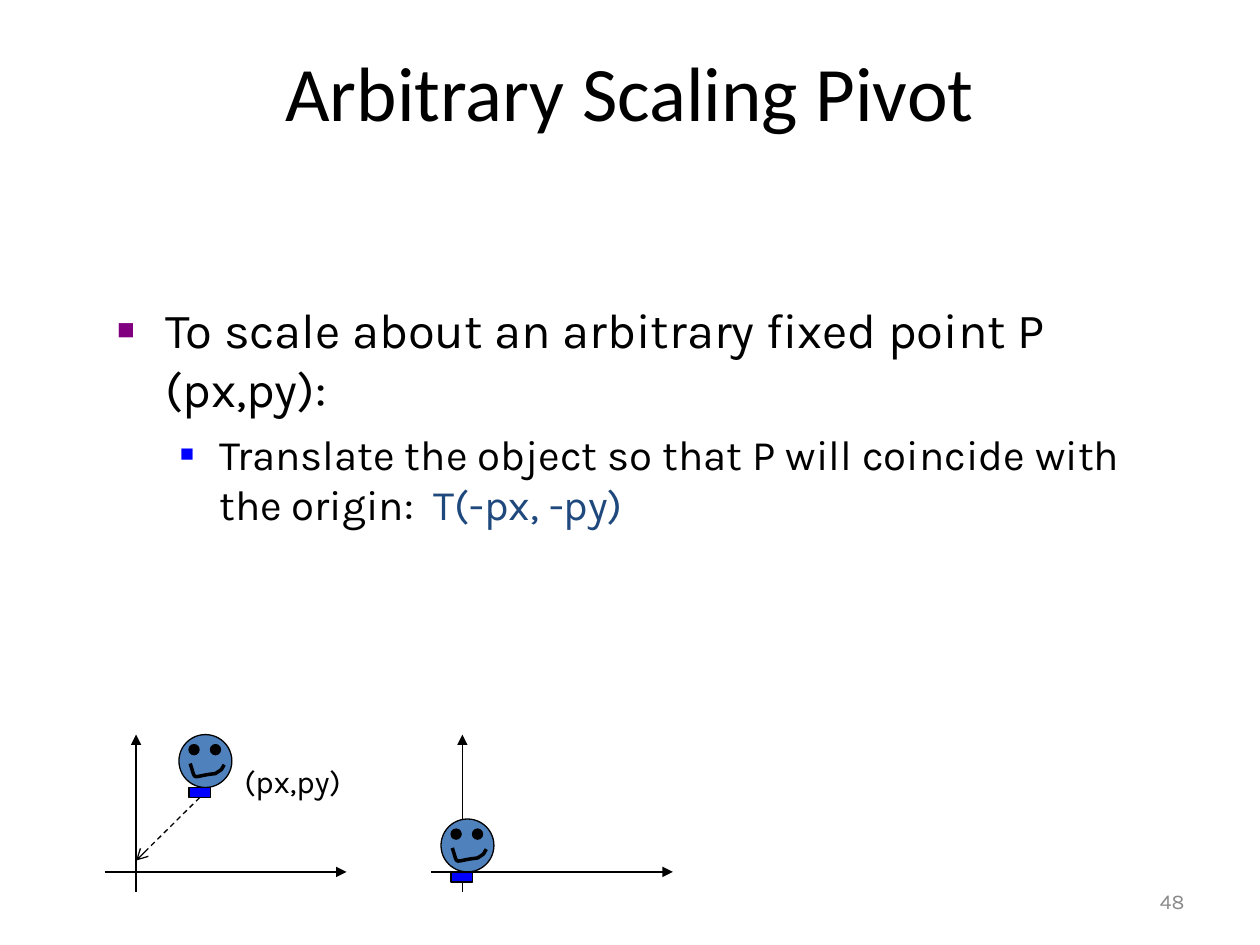
"""Build the slide on scaling about an arbitrary pivot point."""
from lxml import etree
from pptx import Presentation
from pptx.dml.color import RGBColor
from pptx.enum.dml import MSO_LINE
from pptx.enum.shapes import MSO_CONNECTOR, MSO_SHAPE
from pptx.enum.text import MSO_ANCHOR, MSO_AUTO_SIZE, PP_ALIGN
from pptx.oxml.ns import qn
from pptx.util import Inches, Pt

STRAIGHT = MSO_CONNECTOR.STRAIGHT
OVAL, RECTANGLE = MSO_SHAPE.OVAL, MSO_SHAPE.RECTANGLE
DASH = MSO_LINE.DASH
TOP, MIDDLE = MSO_ANCHOR.TOP, MSO_ANCHOR.MIDDLE
NO_AUTOFIT = MSO_AUTO_SIZE.NONE
CENTER, LEFT, RIGHT = PP_ALIGN.CENTER, PP_ALIGN.LEFT, PP_ALIGN.RIGHT


def color(hex_text):
    """Turn a hex string into a colour."""
    return RGBColor.from_string(hex_text)


def add_arrow(start, end, head, dash=None):
    """Draw a thin black arrow from start to end."""
    arrow = slide.shapes.add_connector(STRAIGHT, *map(Inches, start + end))
    arrow.line.color.rgb = color("000000")
    arrow.line.width = Pt(0.75)
    if dash:
        arrow.line.dash_style = dash
    etree.SubElement(arrow.line._get_or_add_ln(), qn("a:tailEnd"), type=head)
    etree.SubElement(arrow._element.spPr, qn("a:effectLst"))
    return arrow


prs = Presentation()
prs.slide_width, prs.slide_height = Inches(10), Inches(7.5)
slide = prs.slides.add_slide(prs.slide_layouts[1])
title, body = slide.placeholders

title.left, title.top, title.width, title.height = map(Inches, (0.5, 0.3, 9, 1.25))
title.text_frame.text = "Arbitrary Scaling Pivot"
title.text_frame.auto_size = NO_AUTOFIT
title.text_frame.vertical_anchor = TOP
heading = title.text_frame.paragraphs[0]
heading.alignment = CENTER
heading.font.name = "Calibri"
heading.font.size = Pt(44)
heading.font.color.rgb = color("000000")

body.left, body.top, body.width, body.height = map(Inches, (0.83, 2.33, 8.5, 4.5))
body.text_frame.text = (
    "To scale about an arbitrary fixed point P (px,py):\n"
    "Translate the object so that P will coincide with the origin:  "
)
body.text_frame.auto_size = NO_AUTOFIT
bullet_styles = [
    (0.38, 0.38, "800080", "60000", 28, 0),
    (0.81, 0.31, "0000FF", "55000", 24, 6),
]
for level, (step, style) in enumerate(zip(body.text_frame.paragraphs, bullet_styles)):
    indent, hanging, bullet_color, bullet_size, size, space = style
    step.level = level
    properties = step._p.get_or_add_pPr()
    properties.set("marL", str(Inches(indent)))
    properties.set("indent", str(-Inches(hanging)))
    bullet_fill = etree.SubElement(properties, qn("a:buClr"))
    etree.SubElement(bullet_fill, qn("a:srgbClr"), val=bullet_color)
    etree.SubElement(properties, qn("a:buSzPct"), val=bullet_size)
    etree.SubElement(properties, qn("a:buFont"), typeface="Arial")
    etree.SubElement(properties, qn("a:buChar"), char="■")
    step.space_before = Pt(space)
    step.font.name = "Karla"
    step.font.size = Pt(size)
    step.font.color.rgb = color("000000")
translation = step.add_run()
translation.text = "T(-px, -py)"
translation.font.color.rgb = color("1F497D")

mouth_curves = [
    [(0.09, 0.23), (0.14, 0.38), (0.09, 0.33), (0.29, 0.31)],
    [(0.29, 0.31), (0.35, 0.27), (0.33, 0.29), (0.36, 0.24)],
]
mouth_points = []
for curve in mouth_curves:
    for t in [n / 10 for n in range(11)]:
        weights = ((1 - t) ** 3, 3 * t * (1 - t) ** 2, 3 * t * t * (1 - t), t ** 3)
        mouth_points.append([sum(w * p[axis] for w, p in zip(weights, curve)) for axis in (0, 1)])

figure_parts = [
    (OVAL, 0, 0, 0.42, 0.42, "4F81BD"),
    (OVAL, 0.08, 0.08, 0.08, 0.08, "000000"),
    (OVAL, 0.25, 0.08, 0.08, 0.08, "000000"),
    (RECTANGLE, 0.08, 0.42, 0.17, 0.08, "0000FF"),
]
bases = []
for axes_x, head_x, head_y in [(0.83, 1.42, 5.83), (3.42, 3.5, 6.5)]:
    add_arrow((axes_x, 6.92), (axes_x + 1.92, 6.92), "triangle")
    add_arrow((axes_x + 0.25, 7.08), (axes_x + 0.25, 5.83), "triangle")
    for preset, dx, dy, width, height, fill in figure_parts:
        part = slide.shapes.add_shape(
            preset, *map(Inches, (head_x + dx, head_y + dy, width, height)))
        part.shadow.inherit = False
        part.fill.solid()
        part.fill.fore_color.rgb = color(fill)
        part.line.color.rgb = color("000000")
        part.line.width = Pt(0.75)
    bases.append(part)
    outline = [(Inches(head_x + x), Inches(head_y + y)) for x, y in mouth_points]
    builder = slide.shapes.build_freeform(*outline[0])
    builder.add_line_segments(outline[1:], close=False)
    mouth = builder.convert_to_shape()
    mouth.shadow.inherit = False
    mouth.fill.background()
    mouth.line.color.rgb = color("000000")
    mouth.line.width = Pt(2)

shift = add_arrow((1.58, 6.33), (1.08, 6.83), "arrow", DASH)
shift.begin_connect(bases[0], 2)

labels = [
    ("(px,py)", (1.84, 6, 0.98, 0.4), 18, "000000", LEFT, TOP, False),
    ("48", (7.17, 6.95, 2.33, 0.4), 12, "898989", RIGHT, MIDDLE, True),
]
for text, place, size, text_color, alignment, anchor, wrap in labels:
    label = slide.shapes.add_textbox(*map(Inches, place))
    label.text_frame.text = text
    label.text_frame.word_wrap = wrap
    label.text_frame.vertical_anchor = anchor
    caption = label.text_frame.paragraphs[0]
    caption.alignment = alignment
    caption.font.name = "Karla"
    caption.font.size = Pt(size)
    caption.font.color.rgb = color(text_color)

prs.save("out.pptx")
